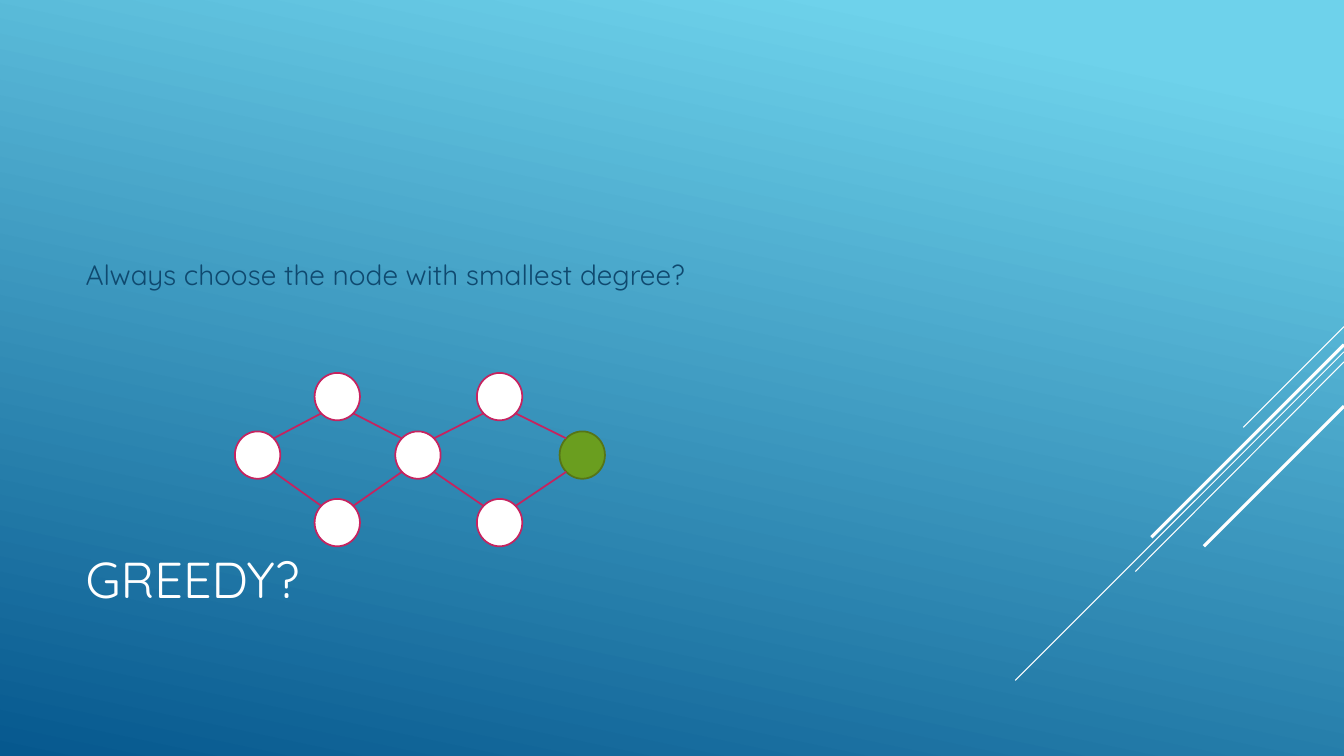
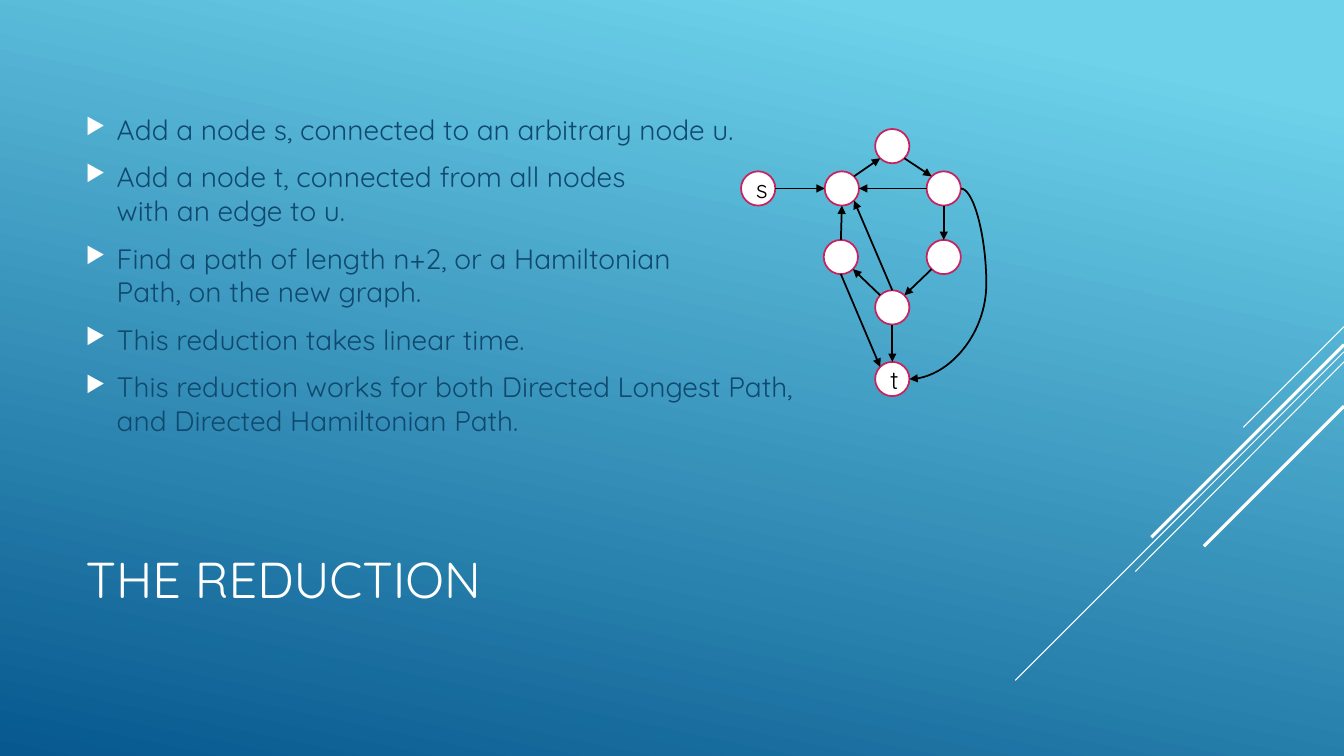
"""Build two graph-algorithm slides on a shared blue gradient layout."""
import math

import pptx
import pptx.dml.color
import pptx.enum.shapes
import pptx.enum.text
import pptx.oxml
import pptx.oxml.ns
import pptx.util

Inches, Pt = pptx.util.Inches, pptx.util.Pt
CONNECTOR = pptx.enum.shapes.MSO_CONNECTOR
ANCHOR = pptx.enum.text.MSO_ANCHOR
ALIGN = pptx.enum.text.PP_ALIGN

FONT = "Quicksand"
WHITE, BLACK, NAVY = "FFFFFF", "000000", "0F496F"
CRIMSON, GREEN, DARK_GREEN = "C6235F", "6A9E1F", "567517"
SKY, DEEP_BLUE = "6ED2EB", "06588E"

TITLE_BOX = (0.75, 4.91, 9.33, 1.65)
BODY_BOX = (0.75, 0.75, 9.33, 3.95)
STREAKS = [
    ((13.33, 3.24), (12.33, 4.24), 0.75),
    ((13.33, 3.49), (10.07, 6.75), 0.75),
    ((13.33, 3.59), (11.26, 5.67), 0.75),
    ((13.33, 3.42), (11.42, 5.33), 2.25),
    ((13.33, 4.03), (11.94, 5.42), 2.25),
]

DIAGONAL = math.sqrt(0.5)
SITES = {
    "n": (0, -1), "s": (0, 1), "w": (-1, 0), "e": (1, 0),
    "nw": (-DIAGONAL, -DIAGONAL), "ne": (DIAGONAL, -DIAGONAL),
    "sw": (-DIAGONAL, DIAGONAL), "se": (DIAGONAL, DIAGONAL),
}

GREEDY = {
    "title": "GREEDY?",
    "body": ["Always choose the node with smallest degree?"],
    "bullets": False,
    "node_size": (0.45, 0.47),
    "nodes": {
        "left": (2.33, 4.28), "right": (5.55, 4.28), "middle": (3.92, 4.28),
        "top left": (3.12, 3.7), "top right": (4.73, 3.7),
        "bottom left": (3.12, 4.95), "bottom right": (4.73, 4.95),
    },
    "chosen": ["right"],
    "labels": {},
    "edges": [
        ("left", "ne", "top left", "sw"),
        ("left", "se", "bottom left", "nw"),
        ("top left", "se", "middle", "nw"),
        ("bottom left", "ne", "middle", "sw"),
        ("middle", "ne", "top right", "sw"),
        ("middle", "se", "bottom right", "nw"),
        ("bottom right", "ne", "right", "sw"),
        ("top right", "se", "right", "nw"),
    ],
    "edge_color": CRIMSON,
    "directed": False,
    "bends": [],
}

REDUCTION = {
    "title": "THE REDUCTION",
    "body": [
        "Add a node s, connected to an arbitrary node u.",
        "Add a node t, connected from all nodes \nwith an edge to u.",
        "Find a path of length n+2, or a Hamiltonian \nPath, on the new graph.",
        "This reduction takes linear time.",
        "This reduction works for both Directed Longest Path, \nand Directed Hamiltonian Path.",
    ],
    "bullets": True,
    "node_size": (0.34, 0.34),
    "nodes": {
        "u": (8.18, 1.7), "lower left": (8.17, 2.38), "top": (8.68, 1.28),
        "bottom": (8.68, 2.88), "upper right": (9.19, 1.7),
        "lower right": (9.19, 2.38), "s": (7.35, 1.7), "t": (8.68, 3.59),
    },
    "chosen": [],
    "labels": {"s": "s", "t": "t"},
    "edges": [
        ("u", "ne", "top", "sw"),
        ("top", "se", "upper right", "nw"),
        ("upper right", "s", "lower right", "n"),
        ("lower right", "sw", "bottom", "ne"),
        ("bottom", "nw", "lower left", "se"),
        ("lower left", "n", "u", "s"),
        ("bottom", "n", "u", "se"),
        ("upper right", "w", "u", "e"),
        ("s", "e", "u", "w"),
        ("lower left", "s", "t", "nw"),
        ("bottom", "s", "t", "n"),
    ],
    "edge_color": BLACK,
    "directed": True,
    "bends": [("upper right", "t", -0.496)],
}


def rgb(code):
    """Turn a hex string into a colour."""
    return pptx.dml.color.RGBColor.from_string(code)


def add_xml(parent, tag, **attributes):
    """Append a DrawingML element and return it."""
    child = pptx.oxml.parse_xml(f"<a:{tag} {pptx.oxml.ns.nsdecls('a')}/>")
    for key, value in attributes.items():
        child.set(key, str(value))
    parent.append(child)
    return child


def style_text(paragraph, size, color):
    """Format every run of a paragraph."""
    for run in paragraph.runs:
        run.font.name = FONT
        run.font.size = Pt(size)
        run.font.color.rgb = rgb(color)


def draw_line(slide, begin, end, color, width, arrow=False, kind=CONNECTOR.STRAIGHT):
    """Draw a connector between two points."""
    line = slide.shapes.add_connector(kind, *map(Inches, (*begin, *end)))
    line.line.color.rgb = rgb(color)
    line.line.width = Pt(width)
    properties = line.element.spPr
    if arrow:
        add_xml(properties.find(pptx.oxml.ns.qn("a:ln")), "tailEnd", type="triangle")
    add_xml(properties, "effectLst")
    return line


def decorate_layout(layout, slide):
    """Give the layout its gradient and diagonal streaks."""
    fill = layout.background.fill
    fill.gradient()
    fill.gradient_angle = 360 - 102
    for stop, position, color in zip(fill.gradient_stops, (0.1, 1), (SKY, DEEP_BLUE)):
        stop.position = position
        stop.color.rgb = rgb(color)
    for number, (begin, end, width) in enumerate(STREAKS, 20):
        streak = draw_line(slide, begin, end, WHITE, width)
        streak.element.nvCxnSpPr.cNvPr.id = number
        layout.shapes.element.append(streak.element)


def write_title(slide, text):
    """Place and format the title."""
    title = slide.shapes.title
    title.left, title.top, title.width, title.height = map(Inches, TITLE_BOX)
    frame = title.text_frame
    frame.text = text
    frame.auto_size = pptx.enum.text.MSO_AUTO_SIZE.NONE
    frame.vertical_anchor = ANCHOR.MIDDLE
    frame.paragraphs[0].alignment = ALIGN.LEFT
    style_text(frame.paragraphs[0], 36, WHITE)


def write_body(slide, lines, bullets):
    """Write the body paragraphs, with triangle bullets if wanted."""
    frame = slide.shapes.add_textbox(*map(Inches, BODY_BOX)).text_frame
    frame.word_wrap = True
    frame.vertical_anchor = ANCHOR.MIDDLE
    for index, text in enumerate(lines):
        paragraph = frame.add_paragraph() if index else frame.paragraphs[0]
        paragraph.text = text
        if bullets:
            properties = paragraph._p.get_or_add_pPr()
            properties.set("marL", str(Inches(0.31)))
            properties.set("indent", str(-Inches(0.31)))
            add_xml(add_xml(properties, "buClr"), "srgbClr", val=WHITE)
            add_xml(properties, "buSzPct", val=80000)
            add_xml(properties, "buChar", char="▶")
        if index:
            paragraph.space_before = Pt(4)
        paragraph.space_after = Pt(6)
        style_text(paragraph, 20, NAVY)


def draw_node(slide, corner, size, chosen, label):
    """Draw one graph node."""
    node = slide.shapes.add_shape(
        pptx.enum.shapes.MSO_SHAPE.OVAL, *map(Inches, (*corner, *size)))
    node.shadow.inherit = False
    node.fill.solid()
    node.fill.fore_color.rgb = rgb(GREEN if chosen else WHITE)
    node.line.color.rgb = rgb(DARK_GREEN if chosen else CRIMSON)
    node.line.width = Pt(1.25)
    if label:
        frame = node.text_frame
        frame.text = label
        frame.word_wrap = True
        frame.vertical_anchor = ANCHOR.MIDDLE
        frame.paragraphs[0].alignment = ALIGN.CENTER
        style_text(frame.paragraphs[0], 18, BLACK)
    return node


def draw_graph(slide, graph):
    """Draw the nodes and the edges between their rims."""
    size, color = graph["node_size"], graph["edge_color"]
    nodes = {
        name: draw_node(slide, corner, size, name in graph["chosen"], graph["labels"].get(name))
        for name, corner in graph["nodes"].items()
    }

    def rim(name, site):
        """Find a compass point on a node's rim."""
        return tuple(start + extent / 2 * (1 + offset) for start, extent, offset
                     in zip(graph["nodes"][name], size, SITES[site]))

    for source, leave, target, enter in graph["edges"]:
        draw_line(slide, rim(source, leave), rim(target, enter), color, 1.25, graph["directed"])
    for source, target, bend in graph["bends"]:
        curve = draw_line(slide, rim(source, "e"), rim(target, "e"), color, 1.25,
                          graph["directed"], CONNECTOR.CURVE)
        curve.begin_connect(nodes[source], 3)
        curve.end_connect(nodes[target], 3)
        for tag in ("stCxn", "endCxn"):
            curve.element.find(f".//{pptx.oxml.ns.qn('a:' + tag)}").set("idx", "6")
        geometry = curve.element.spPr.find(pptx.oxml.ns.qn("a:prstGeom"))
        for adjustments in list(geometry):
            geometry.remove(adjustments)
        add_xml(add_xml(geometry, "avLst"), "gd", name="adj1", fmla=f"val {round(bend * 100000)}")


def main():
    """Build and save the presentation."""
    deck = pptx.Presentation()
    deck.slide_width, deck.slide_height = Inches(13.33), Inches(7.5)
    layout = deck.slide_layouts[5]
    for index, content in enumerate((GREEDY, REDUCTION)):
        slide = deck.slides.add_slide(layout)
        if index == 0:
            decorate_layout(layout, slide)
        write_title(slide, content["title"])
        write_body(slide, content["body"], content["bullets"])
        draw_graph(slide, content)
    deck.save("out.pptx")


if __name__ == "__main__":
    main()
